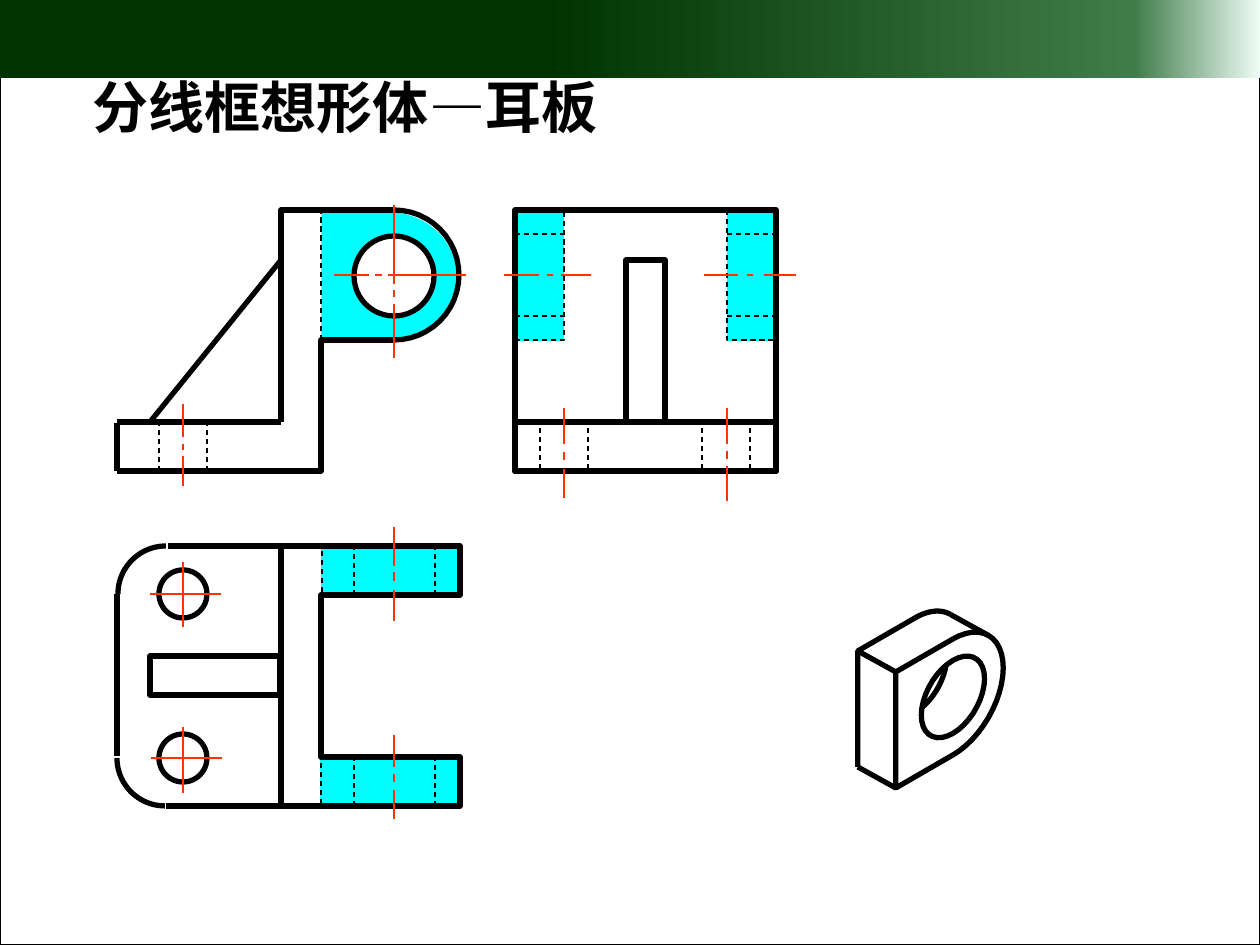
import copy
import math

import pptx
import pptx.dml.color
import pptx.enum.dml
import pptx.enum.shapes
import pptx.enum.text
import pptx.oxml
import pptx.util

EMU_PER_PX = 914400 / 126
SHAPE = pptx.enum.shapes.MSO_SHAPE
COLORS = {
    "black": "000000", "white": "FFFFFF", "cyan": "00FFFF", "red": "FF3300",
    "dark green": "003300", "green": "3F7C49", "mint": "EEFCF6",
}
PENS = {  # colour, width in points, dashed
    "outline": ("black", 3, False),
    "hidden": ("black", 0.75, True),
    "centre": ("red", 0.75, False),
    "ear": ("cyan", 0.75, False),
    "frame": ("black", 0.75, False),
}

# Content
TITLE = [("分线框想形体", "Times New Roman"), ("—", "Arial"), ("耳板", "Times New Roman")]
TITLE_BOX = (64, 66, 562, 79)
BAND_STOPS = [(0.43, "dark green"), (0.90, "green"), (1.0, "mint")]

# Highlighted ear plates: left, top, width, height
EARS = [
    (SHAPE.RECTANGLE, (321, 760, 135, 43)),
    (SHAPE.RECTANGLE, (322, 548, 134, 44)),
    (SHAPE.RECTANGLE, (728, 213, 45, 127)),
    (SHAPE.RECTANGLE, (518, 212, 45, 128)),
    (SHAPE.FLOWCHART_DELAY, (322, 213, 134, 126)),
]
EAR_HOLE = (394, 276, 40)
BASE_HOLES = [(183, 594, 24), (183, 758, 24)]
BOXES = [  # side view, its rib and base, then the rib seen from above
    (515, 210, 261, 261), (626, 260, 39, 162), (515, 422, 261, 49), (150, 656, 130, 39),
]
OUTLINES = [
    # Front view
    [(117, 471), (117, 423)],
    [(117, 422), (281, 422)],
    [(281, 422), (281, 210), (394, 210)],
    [(117, 471), (321, 471), (321, 340), (394, 340)],
    [(150, 422), (281, 260)],
    # Top view
    [(166, 806), (281, 806), (281, 546), (168, 546)],
    [(117, 756), (117, 594)],
    [(321, 806), (460, 806), (460, 757), (321, 757),
     (321, 595), (460, 595), (460, 546), (321, 546)],
    [(276, 546), (321, 546)],
    [(280, 806), (325, 806)],
]
ARCS = [  # centre, radius, start and end angle
    (394, 275, 65, -90, 90),
    (166, 594, 48, 180, 270),
    (165, 758, 48, 90, 180),
]
HIDDEN_UPRIGHTS = [  # top, bottom, positions
    (422, 471, (159, 207)),
    (210, 340, (321,)),
    (421, 469, (540, 588, 702, 750)),
    (546, 595, (354, 435)),
    (757, 806, (354, 435)),
    (547, 592, (322,)),
    (760, 804, (321,)),
]
HIDDEN_EDGES = [
    [(515, 340), (564, 340), (564, 210)],
    [(727, 210), (727, 340), (776, 340)],
] + [[(x, y), (x + 49, y)] for x in (515, 727) for y in (234, 316)]

CENTRES_UPRIGHT = [  # x, then the strokes along y
    (564, [(408, 444), (452, 460), (469, 498)]),
    (727, [(408, 444), (451, 459), (466, 501)]),
    (394, [(205, 284), (290, 297), (304, 358)]),
    (394, [(735, 767), (774, 782), (790, 819)]),
    (394, [(527, 566), (572, 581), (590, 621)]),
    (183, [(404, 437), (444, 450), (456, 486)]),
    (183, [(562, 627)]),
    (183, [(727, 793)]),
]
CENTRES_LEVEL = [  # y, then the strokes along x
    (275, [(504, 539), (547, 553), (561, 591)]),
    (275, [(704, 738), (747, 753), (764, 796)]),
    (275, [(334, 369), (375, 382), (388, 466)]),
    (594, [(150, 221)]),
    (758, [(151, 222)]),
]

# Isometric ear plate
ISO_CENTRE = (953, 697)
ISO_DEPTH = (-38, -21)
ISO_RADIUS, ISO_HOLE = 58, 36.5

prs = pptx.Presentation()
prs.slide_width, prs.slide_height = pptx.util.Inches(10), pptx.util.Inches(7.5)
slide = prs.slides.add_slide(prs.slide_layouts[5])


def emu(*lengths):
    return [round(length * EMU_PER_PX) for length in lengths]


def rgb(name):
    return pptx.dml.color.RGBColor.from_string(COLORS[name])


def draw_line(part, pen):
    color, width, dashed = PENS[pen]
    part.line.color.rgb = rgb(color)
    part.line.width = pptx.util.Pt(width)
    if dashed:
        part.line.dash_style = pptx.enum.dml.MSO_LINE.DASH


def area(kind, box, fill=None, pen=None):
    part = slide.shapes.add_shape(kind, *emu(*box))
    part.shadow.inherit = False
    if fill:
        part.fill.solid()
        part.fill.fore_color.rgb = rgb(fill)
    else:
        part.fill.background()
    if pen:
        draw_line(part, pen)
    else:
        part.line.fill.background()
    return part


def circle(x, y, r, **style):
    return area(SHAPE.OVAL, (x - r, y - r, 2 * r, 2 * r), **style)


def stroke(points, pen="outline"):
    points = [emu(*point) for point in points]
    if len(points) == 2:
        part = slide.shapes.add_connector(
            pptx.enum.shapes.MSO_CONNECTOR.STRAIGHT, *points[0], *points[1])
        draw_line(part, pen)
        part._element.spPr.append(pptx.oxml.parse_xml(
            '<a:effectLst xmlns:a="http://schemas.openxmlformats.org/drawingml/2006/main"/>'))
        return
    builder = slide.shapes.build_freeform(*points[0])
    builder.add_line_segments(points[1:], close=False)
    part = builder.convert_to_shape()
    part.shadow.inherit = False
    part.fill.background()
    draw_line(part, pen)


def arc(x, y, r, start, end, steps=24):
    angles = [math.radians(start + (end - start) * i / steps) for i in range(steps + 1)]
    return [(x + r * math.cos(a), y + r * math.sin(a)) for a in angles]


def iso(points, depth=0):
    return [(ISO_CENTRE[0] + 0.866 * u + depth * ISO_DEPTH[0],
             ISO_CENTRE[1] - 0.5 * u + v + depth * ISO_DEPTH[1]) for u, v in points]


# Frame and green band
area(SHAPE.RECTANGLE, (0, 0, 1260, 945), pen="frame")
band = area(SHAPE.RECTANGLE, (0, -3, 1260, 81))
band.fill.gradient()
band.fill.gradient_angle = 0
last_stop = band.fill.gradient_stops[1]._element
last_stop.addnext(copy.deepcopy(last_stop))
for stop, (position, color) in zip(band.fill.gradient_stops, BAND_STOPS):
    stop.position = position
    stop.color.rgb = rgb(color)

# Title
title = slide.shapes.title
title.left, title.top, title.width, title.height = emu(*TITLE_BOX)
title.text_frame.word_wrap = True
title.text_frame.auto_size = pptx.enum.text.MSO_AUTO_SIZE.NONE
title.text_frame.vertical_anchor = pptx.enum.text.MSO_ANCHOR.TOP
heading = title.text_frame.paragraphs[0]
heading.alignment = pptx.enum.text.PP_ALIGN.CENTER
for words, font_name in TITLE:
    run = heading.add_run()
    run.text = words
    run.font.name = font_name
    run.font.size = pptx.util.Pt(32)
    run.font.bold = True
    run.font.color.rgb = rgb("black")

# Three views
for kind, box in EARS:
    area(kind, box, fill="cyan", pen="ear")
circle(*EAR_HOLE, fill="white", pen="outline")
for hole in BASE_HOLES:
    circle(*hole, pen="outline")
for box in BOXES:
    area(SHAPE.RECTANGLE, box, pen="outline")
for points in OUTLINES + [arc(*bend) for bend in ARCS]:
    stroke(points)
for top, bottom, positions in HIDDEN_UPRIGHTS:
    for x in positions:
        stroke([(x, bottom), (x, top)], "hidden")
for points in HIDDEN_EDGES:
    stroke(points, "hidden")
for x, spans in CENTRES_UPRIGHT:
    for start, end in spans:
        stroke([(x, start), (x, end)], "centre")
for y, spans in CENTRES_LEVEL:
    for start, end in spans:
        stroke([(start, y), (end, y)], "centre")

# Isometric view: front face, hole, back edges, then the joining edges
R = ISO_RADIUS
rim = arc(0, 0, R, -90, 90)
stroke(iso([(0, R), (-66, R), (-66, -R), (0, -R)]))
stroke(iso(rim))
stroke(iso(arc(0, 0, ISO_HOLE, 0, 360, 36)))
stroke(iso([(0, -R), (-66, -R), (-66, R)], 1))
stroke(iso(arc(0, 0, R, -90, -45), 1))
stroke(iso(arc(0, 0, ISO_HOLE, 78, 12), 1))
for corner in [(-66, -R), (-66, R), rim[6]]:
    stroke(iso([corner]) + iso([corner], 1))

prs.save("out.pptx")
